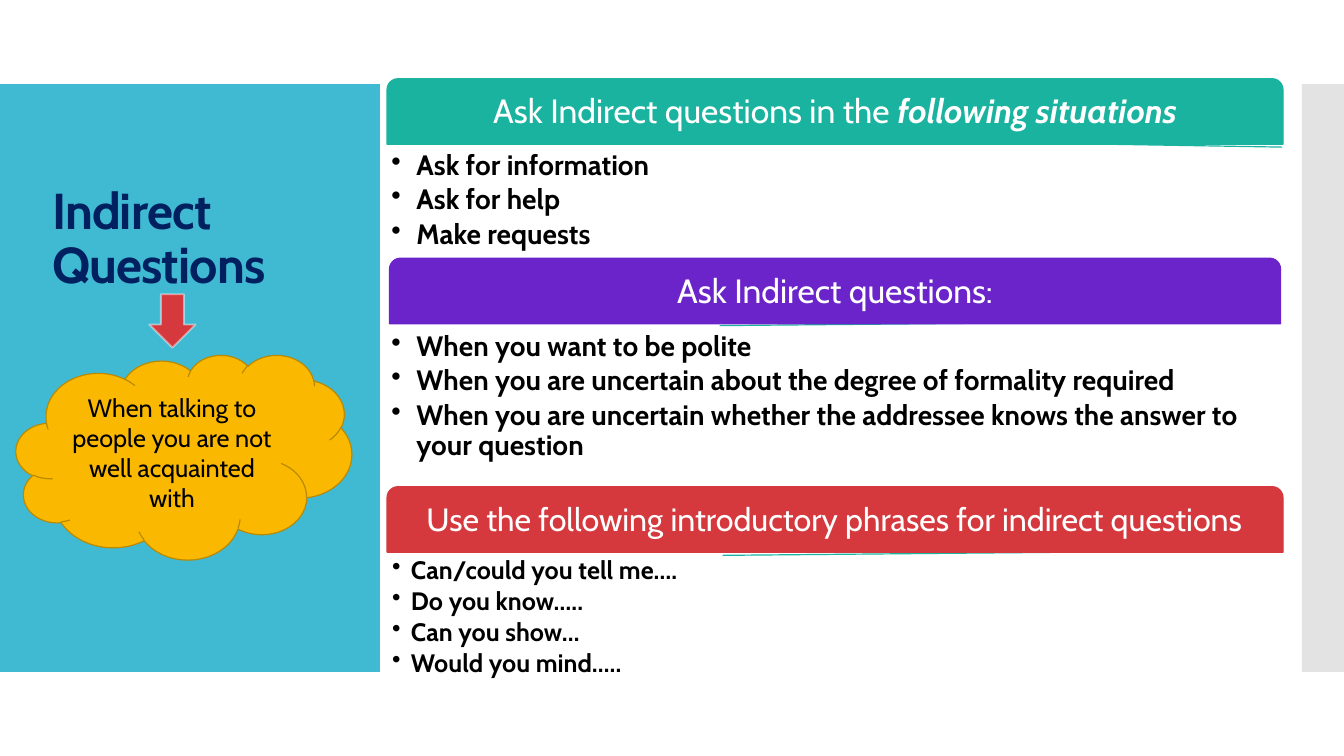
from lxml import etree
from pptx import Presentation
from pptx import util as u
from pptx.dml import color
from pptx.enum import shapes, text
from pptx.oxml import ns

FONT = "Cabin"
COLORS = {
    "sky": "40BAD2", "grey": "C8C8C8", "navy": "002060", "teal": "1AB39F",
    "purple": "6A24CA", "red": "D5393D", "gold": "FAB900", "bronze": "B98900",
    "pale": "F9F9F9", "white": "FFFFFF", "black": "000000",
}
TITLE = "Indirect Questions"
CLOUD = "When talking to people you are not well acquainted with"
PANELS = [((0, 60, 271.4, 420), "sky", None), ((930, 60, 30, 420), "grey", 50)]
ACCENTS = [(516.2, 396.7, 915.8, 393.1), (514, 232.6, 911.5, 229), (697.7, 101.5, 915.8, 105.1)]
LIST_LEFT, LIST_WIDTH, BAR_HEIGHT = 276.5, 640, 46.8
SECTIONS = [
    {"heading": [("Ask Indirect questions in the ", {}),
                 ("following situations", {"bold": True, "italic": True})],
     "color": "teal", "top": 56.2, "narrow": 0, "heading_size": 24,
     "list_top": 105, "list_height": 93.6, "size": 20, "indent": 18, "inset": 3,
     "items": ["Ask for information", "Ask for help", "Make requests"]},
    {"heading": [("Ask Indirect questions:", {})],
     "color": "purple", "top": 184.4, "narrow": 1.75, "heading_size": 24,
     "list_top": 234.2, "list_height": 116.6, "size": 20, "indent": 18, "inset": 3,
     "items": ["When you want to be polite",
               "When you are uncertain about the degree of formality required",
               "When you are uncertain whether the addressee knows the answer to your question"]},
    {"heading": [("Use the following introductory phrases for indirect questions", {})],
     "color": "red", "top": 347.6, "narrow": 0, "heading_size": 23,
     "list_top": 394.6, "list_height": 97.9, "size": 18, "indent": 13.5, "inset": 3.6,
     "items": ["Can/could you tell me….", "Do you know…..", "Can you show…", "Would you mind….."]},
]

deck = Presentation()
deck.slide_width, deck.slide_height = u.Pt(960), u.Pt(540)
page = deck.slides.add_slide(deck.slide_layouts[6])


def points(values):
    return [u.Pt(value) for value in values]


def rgb(name):
    return color.RGBColor.from_string(COLORS[name])


def fade(element, opacity):
    tint = element.find(".//" + ns.qn("a:srgbClr"))
    etree.SubElement(tint, ns.qn("a:alpha")).set("val", str(opacity * 1000))


def add_block(kind, place, fill, line=None, weight=0.85):
    block = page.shapes.add_shape(kind, *points(place))
    block.shadow.inherit = False
    block.fill.solid()
    block.fill.fore_color.rgb = rgb(fill)
    if line:
        block.line.color.rgb = rgb(line)
        block.line.width = u.Pt(weight)
    else:
        block.line.fill.background()
    return block


def set_frame(frame, anchor, inset=None):
    frame.word_wrap = True
    frame.vertical_anchor = anchor
    if inset is not None:
        for side in ("left", "top", "right", "bottom"):
            setattr(frame, "margin_" + side, u.Pt(inset))


def write(para, spans, size, tone, align=text.PP_ALIGN.LEFT, **layout):
    para.alignment = align
    for key, value in layout.items():
        setattr(para, key, value)
    for words, style in spans:
        span = para.add_run()
        span.text = words
        span.font.color.rgb = rgb(tone)
        for key, value in {"name": FONT, "size": u.Pt(size), **style}.items():
            setattr(span.font, key, value)
    return para


def add_bullet(para, indent):
    props = para._p.get_or_add_pPr()
    props.set("marL", str(u.Pt(indent)))
    props.set("indent", str(-u.Pt(indent)))
    etree.SubElement(props, ns.qn("a:buChar")).set("char", "•")


def add_section(section):
    narrow = section["narrow"]
    place = (LIST_LEFT + narrow, section["top"], LIST_WIDTH - 2 * narrow, BAR_HEIGHT)
    bar = add_block(shapes.MSO_SHAPE.ROUND_2_SAME_RECTANGLE, place, section["color"], section["color"])
    set_frame(bar.text_frame, text.MSO_ANCHOR.MIDDLE, 3.6)
    write(bar.text_frame.paragraphs[0], section["heading"], section["heading_size"], "white",
          text.PP_ALIGN.CENTER, line_spacing=0.9)

    place = (LIST_LEFT, section["list_top"], LIST_WIDTH, section["list_height"])
    frame = page.shapes.add_textbox(*points(place)).text_frame
    set_frame(frame, text.MSO_ANCHOR.TOP, section["inset"])
    for index, item in enumerate(section["items"]):
        para = frame.add_paragraph() if index else frame.paragraphs[0]
        write(para, [(item, {"bold": True})], section["size"], "black",
              line_spacing=0.9, space_after=u.Pt(section["size"] * 0.15))
        add_bullet(para, section["indent"])


for place, fill, opacity in PANELS:
    panel = add_block(shapes.MSO_SHAPE.RECTANGLE, place, fill)
    if opacity:
        fade(panel._element.spPr, opacity)

title = page.shapes.add_textbox(*points((30.2, 120.2, 244, 180))).text_frame
set_frame(title, text.MSO_ANCHOR.MIDDLE)
title.margin_bottom = u.Pt(81)
para = write(title.paragraphs[0], [(TITLE, {"bold": True})], 36, "navy", line_spacing=0.9)
para.runs[0]._r.get_or_add_rPr().set("spc", "-60")

for ends in ACCENTS:
    accent = page.shapes.add_connector(shapes.MSO_CONNECTOR.STRAIGHT, *points(ends))
    accent.line.color.rgb = rgb("teal")
    accent.line.width = u.Pt(0.85)
    etree.SubElement(accent._element.spPr, ns.qn("a:effectLst"))

for section in SECTIONS:
    add_section(section)

cloud = add_block(shapes.MSO_SHAPE.CLOUD, (11.5, 253.4, 239.8, 146.2), "gold", "bronze")
set_frame(cloud.text_frame, text.MSO_ANCHOR.MIDDLE)
write(cloud.text_frame.paragraphs[0], [(CLOUD, {})], 18, "black", text.PP_ALIGN.CENTER)

arrow = add_block(shapes.MSO_SHAPE.DOWN_ARROW, (106.6, 210.2, 33.1, 38.2), "red", "pale", 1.35)
fade(arrow.line._ln, 50)

deck.save("out.pptx")
